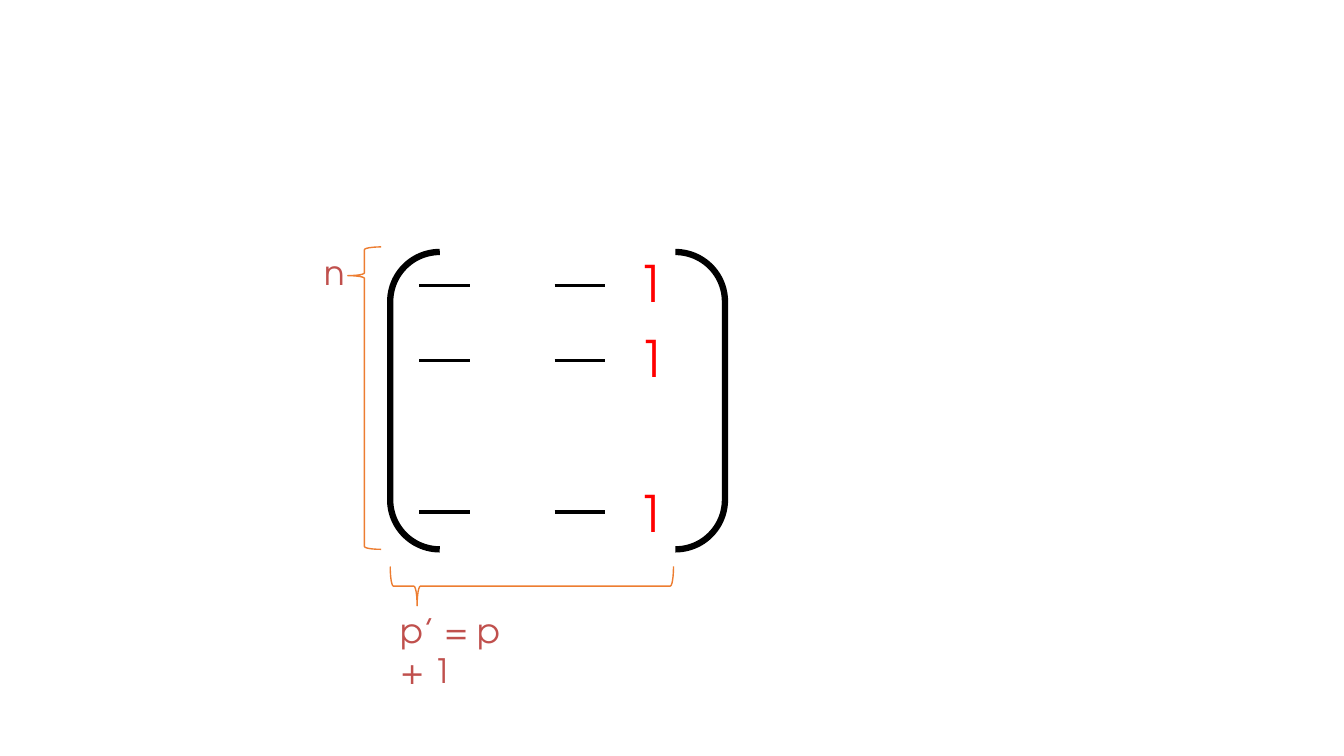
from typing import NamedTuple

from lxml import etree
from pptx import Presentation
from pptx.dml.color import RGBColor
from pptx.enum import shapes, text
from pptx.oxml import ns
from pptx.util import Inches, Pt

FONT = "TeX Gyre Adventor"
HUES = {"ink": "000000", "brace": "ED7D31", "label": "C0504D", "ones": "FF0000"}
SHAPE = shapes.MSO_SHAPE


class Box(NamedTuple):
    x: float
    y: float
    w: float
    h: float


class Label(NamedTuple):
    words: str
    box: Box
    size: int
    hue: str


class Mark(NamedTuple):
    kind: shapes.MSO_SHAPE
    box: Box
    hue: str
    width: float
    turn: int = 0
    bends: tuple[float, ...] = ()


class Row(NamedTuple):
    dash: float
    left: float
    top: float


ROWS = [Row(2.83, 6.22, 2.45), Row(3.58, 6.23, 3.2), Row(5.08, 6.22, 4.73)]
DASHES = [4.16, 5.5]
DASH = 0.5
BENDS = (0.083, 0.095)

MARKS = [
    Mark(SHAPE.DOUBLE_BRACKET, Box(3.87, 2.5, 3.32, 2.95), "ink", 4.5),
    Mark(SHAPE.LEFT_BRACE, Box(3.45, 2.45, 0.33, 3), "brace", 1, 0, BENDS),
    Mark(SHAPE.LEFT_BRACE, Box(5.08, 4.41, 0.39, 2.81), "brace", 1, 270, BENDS),
]
LABELS = [
    Label("n", Box(3.12, 2.45, 0.38, 0.5), 24, "label"),
    Label("p’ = p + 1", Box(3.87, 6, 1.45, 0.5), 24, "label"),
    *(Label("1", Box(row.left, row.top, 0.46, 0.71), 36, "ones") for row in ROWS),
]


def paint(line, hue: str, width: float) -> None:
    line.color.rgb = RGBColor.from_string(HUES[hue])
    line.width = Pt(width)


def draw_mark(slide, mark: Mark) -> None:
    shape = slide.shapes.add_shape(mark.kind, *map(Inches, mark.box))
    shape.shadow.inherit = False
    shape.fill.background()
    shape.rotation = mark.turn
    for i, bend in enumerate(mark.bends):
        shape.adjustments[i] = bend
    paint(shape.line, mark.hue, mark.width)


def draw_dash(slide, x: float, y: float) -> None:
    ends = map(Inches, (x, y, x + DASH, y))
    dash = slide.shapes.add_connector(shapes.MSO_CONNECTOR.STRAIGHT, *ends)
    paint(dash.line, "ink", 2.25)
    etree.SubElement(dash._element.spPr, ns.qn("a:effectLst"))


def draw_label(slide, label: Label) -> None:
    frame = slide.shapes.add_textbox(*map(Inches, label.box)).text_frame
    frame.word_wrap = True
    frame.auto_size = text.MSO_AUTO_SIZE.SHAPE_TO_FIT_TEXT
    frame.text = label.words
    font = frame.paragraphs[0].runs[0].font
    font.name = FONT
    font.size = Pt(label.size)
    font.color.rgb = RGBColor.from_string(HUES[label.hue])


def main() -> None:
    deck = Presentation()
    deck.slide_width, deck.slide_height = Inches(13.33), Inches(7.5)
    slide = deck.slides.add_slide(deck.slide_layouts[6])
    for mark in MARKS:
        draw_mark(slide, mark)
    for row in ROWS:
        for x in DASHES:
            draw_dash(slide, x, row.dash)
    for label in LABELS:
        draw_label(slide, label)
    deck.save("out.pptx")


if __name__ == "__main__":
    main()
